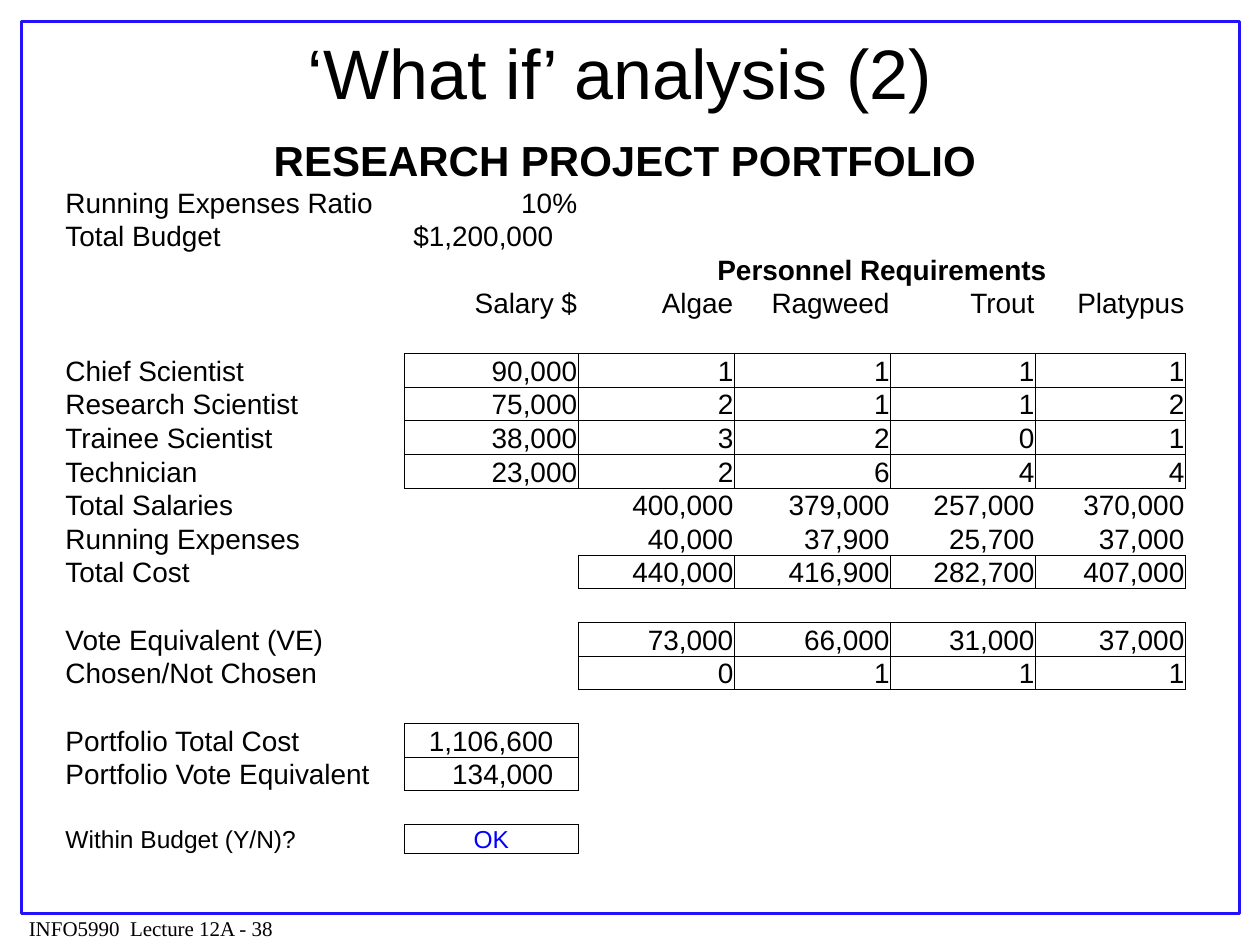
from lxml import etree
from pptx import Presentation
from pptx.dml.color import RGBColor
from pptx.enum import shapes, text
from pptx.oxml.ns import qn
from pptx.util import Inches, Pt

BLACK, BLUE, FRAME_BLUE = "000000", "0000FF", "2211FD"
LEFT, CENTER, RIGHT = text.PP_ALIGN.LEFT, text.PP_ALIGN.CENTER, text.PP_ALIGN.RIGHT

COLUMN_WIDTHS = [2.7, 1.38, 1.24, 1.24, 1.15, 1.19]
ROWS = [
    ["RESEARCH PROJECT PORTFOLIO"],
    ["Running Expenses Ratio", "10%"],
    ["Total Budget", "$1,200,000"],
    ["", "", "Personnel Requirements"],
    ["", "Salary $", "Algae", "Ragweed", "Trout", "Platypus"],
    [],
    ["Chief Scientist", "90,000", "1", "1", "1", "1"],
    ["Research Scientist", "75,000", "2", "1", "1", "2"],
    ["Trainee Scientist", "38,000", "3", "2", "0", "1"],
    ["Technician", "23,000", "2", "6", "4", "4"],
    ["Total Salaries", "", "400,000", "379,000", "257,000", "370,000"],
    ["Running Expenses", "", "40,000", "37,900", "25,700", "37,000"],
    ["Total Cost", "", "440,000", "416,900", "282,700", "407,000"],
    [],
    ["Vote Equivalent (VE)", "", "73,000", "66,000", "31,000", "37,000"],
    ["Chosen/Not Chosen", "", "0", "1", "1", "1"],
    [],
    ["Portfolio Total Cost", "1,106,600"],
    ["Portfolio Vote Equivalent", "134,000"],
    [],
    ["Within Budget (Y/N)?", "OK"],
]
LAST_ROW = len(ROWS) - 1
HEADINGS = {(0, 0): 6, (3, 2): 4}  # merged heading cells and their column spans
INDENTED = {(2, 1), (17, 1), (18, 1)}  # amounts set in from the right edge
BOXED_COLUMNS = [
    ((6, 7, 8, 9), range(1, 6)),
    ((12, 14, 15), range(2, 6)),
    ((17, 18, 20), range(1, 2)),
]
BOXED = {(row, column) for rows, columns in BOXED_COLUMNS for row in rows for column in columns}
# Each border with the step to the cell that shares it
EDGES = {"a:lnL": (0, -1), "a:lnR": (0, 1), "a:lnT": (-1, 0), "a:lnB": (1, 0)}


def color(value):
    return RGBColor.from_string(value)


def write(frame, content, size=16, font="Arial", fill=BLACK, bold=False, align=LEFT):
    paragraph = frame.paragraphs[0]
    paragraph.alignment = align
    if not content:
        # An empty cell keeps the line height of its row
        paragraph._p.get_or_add_endParaRPr().set("sz", str(size * 100))
        return
    run = paragraph.add_run()
    run.text = content
    run.font.size, run.font.name, run.font.bold = Pt(size), font, bold
    run.font.color.rgb = color(fill)


def add_text(slide, content, left, top, width, height, **text_format):
    frame = slide.shapes.add_textbox(*map(Inches, (left, top, width, height))).text_frame
    frame.word_wrap = True
    frame.vertical_anchor = text.MSO_ANCHOR.MIDDLE
    write(frame, content, **text_format)


def add_frame(slide):
    shape = slide.shapes.add_shape(
        shapes.MSO_SHAPE.RECTANGLE, *map(Inches, (0.17, 0.17, 9.67, 7.08)))
    shape.shadow.inherit = False
    shape.fill.background()
    shape.line.color.rgb = color(FRAME_BLUE)
    shape.line.width = Pt(1.5)


def set_borders(cell, row, column):
    properties = cell._tc.get_or_add_tcPr()
    for tag, (down, across) in EDGES.items():
        line = etree.SubElement(properties, qn(tag), w=str(Pt(0.5)))
        if BOXED & {(row, column), (row + down, column + across)}:
            solid = etree.SubElement(line, qn("a:solidFill"))
            etree.SubElement(solid, qn("a:srgbClr"), val=BLACK)
        else:
            etree.SubElement(line, qn("a:noFill"))


def cell_format(row, column):
    if row == 0:
        return {"size": 24, "bold": True, "align": CENTER}
    if (row, column) in HEADINGS:
        return {"bold": True, "align": CENTER}
    if row == LAST_ROW:
        answer = {"fill": BLUE, "align": CENTER} if column == 1 else {}
        return {"size": 14, **answer}
    return {"align": RIGHT if column else LEFT}


def fill_cell(cell, row, column):
    cell.margin_left = cell.margin_right = Inches(0.01)
    cell.margin_top = cell.margin_bottom = 0
    if (row, column) in INDENTED:
        cell.margin_right = Inches(0.2)
    cell.vertical_anchor = text.MSO_ANCHOR.BOTTOM
    set_borders(cell, row, column)
    cell.fill.background()
    content = ROWS[row][column] if column < len(ROWS[row]) else ""
    write(cell.text_frame, content, **cell_format(row, column))


def add_budget_table(slide):
    # The title row and the answer row differ; the rest share 4.89 inches
    heights = [0.38] + [4.89 / (LAST_ROW - 1)] * (LAST_ROW - 1) + [0.23]
    table = slide.shapes.add_table(
        len(ROWS), len(COLUMN_WIDTHS), Inches(0.51), Inches(1.07),
        Inches(sum(COLUMN_WIDTHS)), Inches(sum(heights))).table
    table.first_row = table.horz_banding = False
    for column, width in zip(table.columns, COLUMN_WIDTHS):
        column.width = Inches(width)
    for row, height in enumerate(heights):
        table.rows[row].height = Inches(height)
        for column in range(len(COLUMN_WIDTHS)):
            fill_cell(table.cell(row, column), row, column)
    for (row, column), span in HEADINGS.items():
        table.cell(row, column).merge(table.cell(row, column + span - 1))


def main():
    presentation = Presentation()
    presentation.slide_width, presentation.slide_height = Inches(10), Inches(7.5)
    slide = presentation.slides.add_slide(presentation.slide_layouts[6])

    # Footer and page frame
    add_text(slide, "INFO5990  Lecture 12A - 38", 0.13, 7.22, 2.82, 0.3,
             size=12, font="Times New Roman")
    add_frame(slide)

    # Title and spreadsheet
    add_text(slide, "‘What if’ analysis (2)", 0.67, 0.29, 8.5, 0.55, size=40, align=CENTER)
    add_budget_table(slide)

    presentation.save("out.pptx")


if __name__ == "__main__":
    main()
